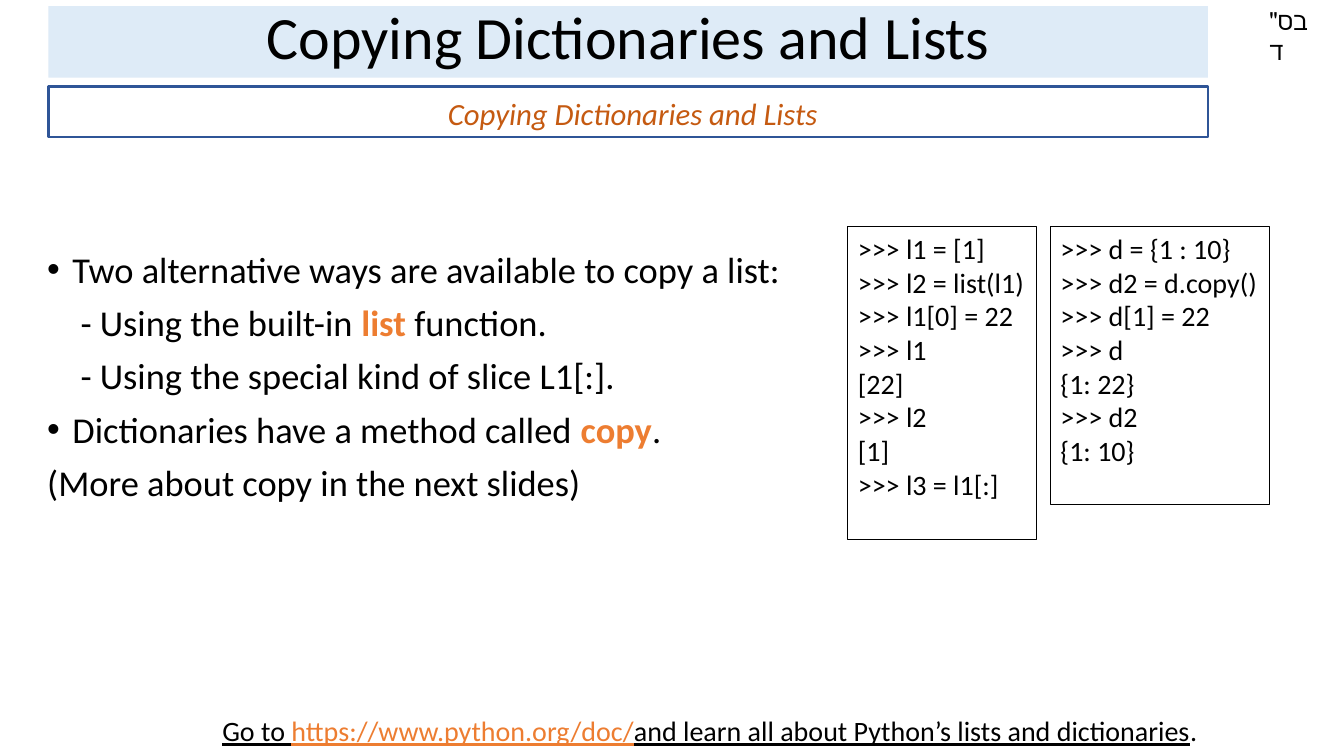
from lxml import etree
from pptx import Presentation
from pptx import util as u
from pptx.dml import color
from pptx.enum import shapes, text
from pptx.oxml import ns

INK, ORANGE = "000000", "ED7D31"
CENTER = text.PP_ALIGN.CENTER
TOP, MIDDLE = text.MSO_ANCHOR.TOP, text.MSO_ANCHOR.MIDDLE

blessing = [["בס\"ד"]]
title = [["Copying Dictionaries and Lists"]]
subtitle = [["Copying Dictionaries and Lists"]]
strong = {"bold": True, "color": ORANGE}
points = [
    ("bullet", ["Two alternative ways are available to copy a list:"]),
    ("sub", ["- Using the built-in ", ("list", strong), " function."]),
    ("sub", ["- Using the special kind of slice L1[:]."]),
    ("bullet", ["Dictionaries have a method called ", ("copy", strong), "."]),
    ("plain", ["(More about copy in the next slides)"]),
]
indents = {"bullet": (0.25, -0.25), "sub": (0.33, 0), "plain": (0, 0)}
sessions = [
    (1.87, 3.1, [">>> l1 = [1]", ">>> l2 = list(l1)", ">>> l1[0] = 22", ">>> l1",
                 "[22]", ">>> l2", "[1]", ">>> l3 = l1[:]"]),
    (2.17, 2.76, [">>> d = {1 : 10}", ">>> d2 = d.copy()", ">>> d[1] = 22", ">>> d",
                  "{1: 22}", ">>> d2", "{1: 10}"]),
]
lined = {"underline": True}
footer = [[("Go to ", lined),
           ("https://www.python.org/doc/", {"underline": True, "color": ORANGE}),
           ("and learn all about Python’s lists and dictionaries", lined), "."]]

SESSION_LEFT, SESSION_TOP, SESSION_GAP = 8.41, 2.25, 0.14


def rgb(code):
    return color.RGBColor.from_string(code)


def set_all(target, values):
    for name, value in values.items():
        setattr(target, name, value)


def write(part, paragraphs, size, tint=INK, anchor=TOP, wrap=True, layout=None, **look):
    frame = part.text_frame
    set_all(frame, {"word_wrap": wrap, "vertical_anchor": anchor,
                    "auto_size": text.MSO_AUTO_SIZE.NONE})
    for index, pieces in enumerate(paragraphs):
        line = frame.paragraphs[0] if index == 0 else frame.add_paragraph()
        set_all(line, {"alignment": text.PP_ALIGN.LEFT, **(layout or {})})
        for piece in pieces:
            words, extra = (piece, {}) if isinstance(piece, str) else piece
            run = line.add_run()
            run.text = words
            style = {"name": "Calibri", "size": u.Pt(size), **look, **extra}
            run.font.color.rgb = rgb(style.pop("color", tint))
            set_all(run.font, style)
    return frame


def textbox(*box):
    return slide.shapes.add_textbox(*map(u.Inches, box))


def panel(box, fill=None, edge=None, weight=0.75):
    part = slide.shapes.add_shape(shapes.MSO_SHAPE.RECTANGLE, *map(u.Inches, box))
    part.shadow.inherit = False
    for side, code in ((part.fill, fill), (part.line.fill, edge)):
        if code:
            side.solid()
            side.fore_color.rgb = rgb(code)
        else:
            side.background()
    if edge:
        part.line.width = u.Pt(weight)
    return part


def indent(line, left, first, bullet=False):
    props = line._p.get_or_add_pPr()
    props.set("marL", str(u.Inches(left)))
    props.set("indent", str(u.Inches(first)))
    if bullet:
        etree.SubElement(props, ns.qn("a:buFont")).set("typeface", "Arial")
        etree.SubElement(props, ns.qn("a:buChar")).set("char", "•")


deck = Presentation()
set_all(deck, {"slide_width": u.Inches(13.33), "slide_height": u.Inches(7.5)})
slide = deck.slides.add_slide(deck.slide_layouts[6])

write(textbox(12.49, 0, 0.7, 0.4), blessing, 18)
write(panel((0.48, 0.06, 11.5, 0.71), fill="DEEBF7"), title, 42.9, anchor=MIDDLE,
      layout={"alignment": CENTER, "line_spacing": 0.8})
heading = write(panel((0.48, 0.86, 11.5, 0.5), edge="2F5597", weight=1.75), subtitle, 22,
                "C55A11", MIDDLE, layout={"alignment": CENTER}, italic=True)
heading.margin_top = u.Inches(0.08)
indent(heading.paragraphs[0], 0.09, 0)

body = write(textbox(0.37, 2.45, 7.58, 2.7), [pieces for _, pieces in points], 26,
             layout={"line_spacing": 0.9, "space_before": u.Pt(10)})
for line, (level, _) in zip(body.paragraphs, points):
    indent(line, *indents[level], bullet=level == "bullet")

left = SESSION_LEFT
for width, height, commands in sessions:
    write(panel((left, SESSION_TOP, width, height), edge=INK),
          [[command] for command in commands], 20, wrap=False)
    left += width + SESSION_GAP

write(textbox(1.87, 7.03, 10.34, 0.44), footer, 20, layout={"alignment": CENTER})

deck.save("out.pptx")
